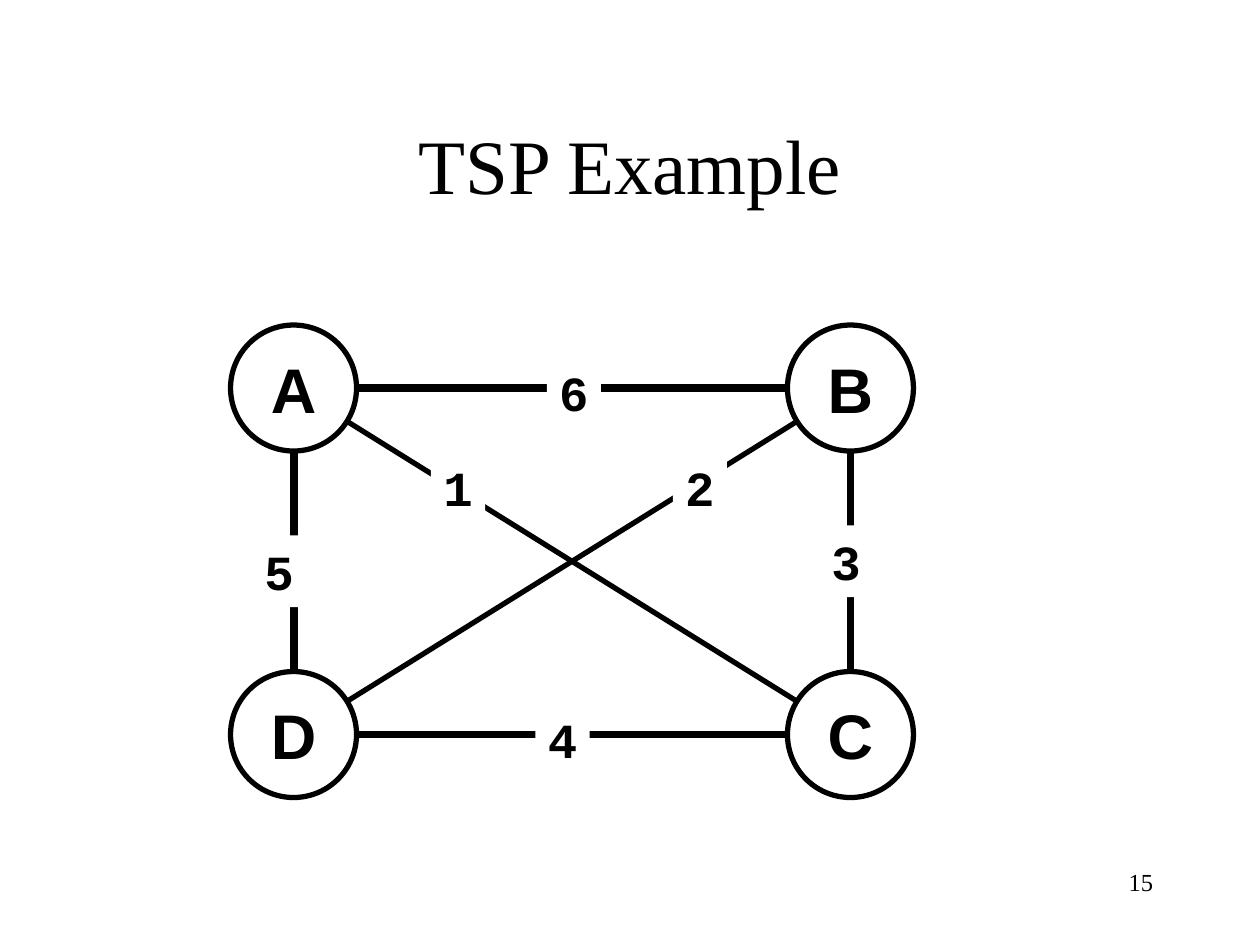
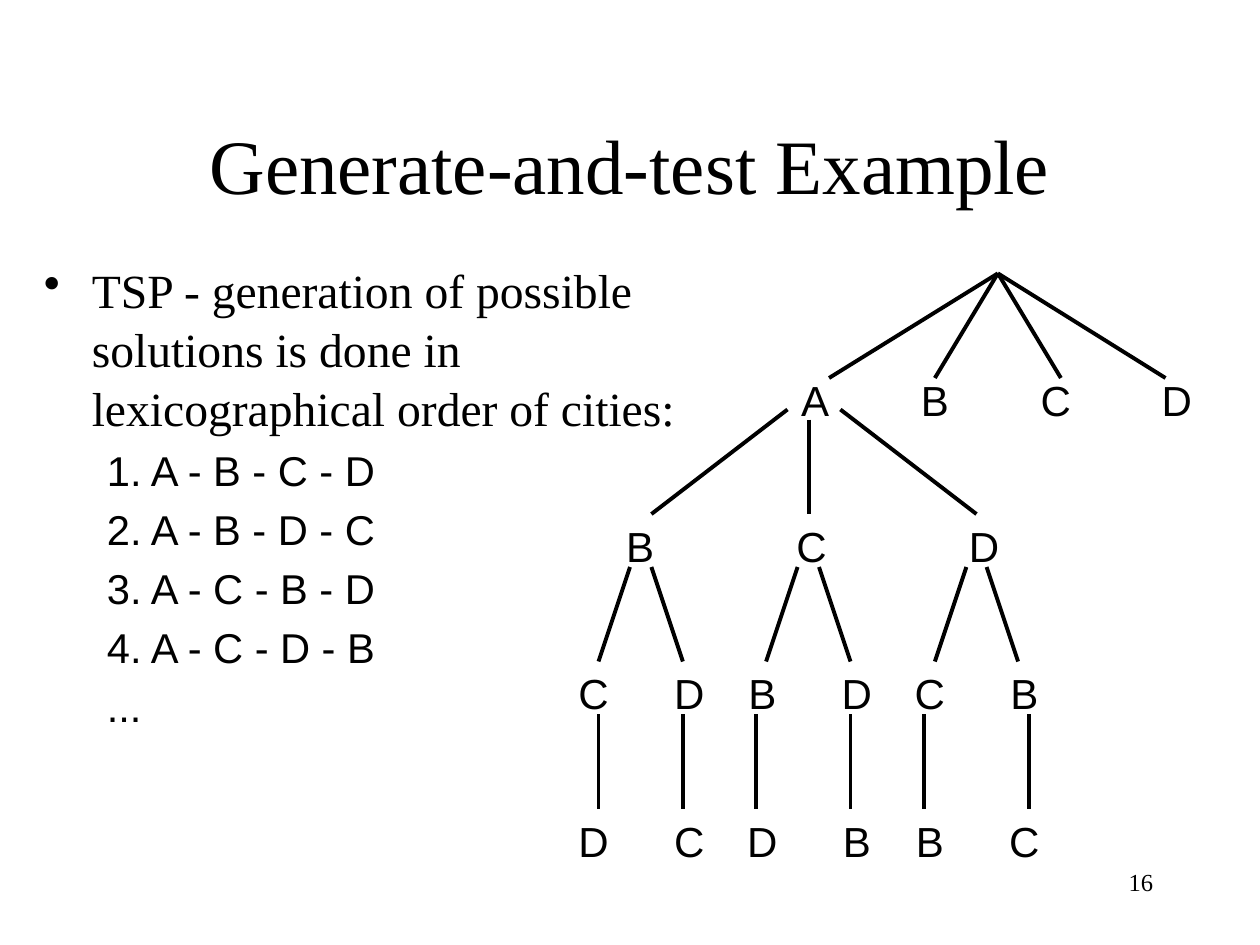
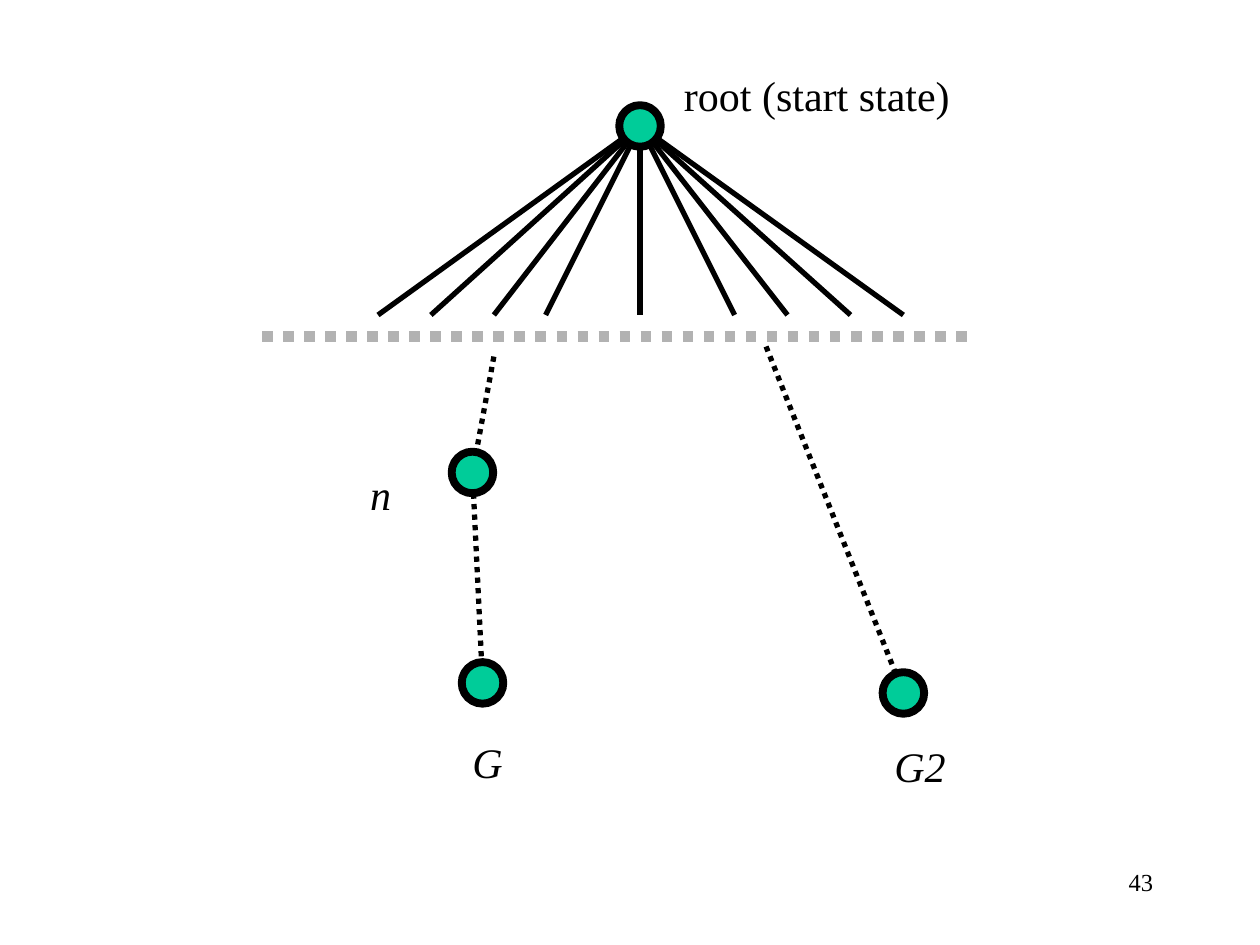
from lxml import etree
from pptx import Presentation
from pptx.dml.color import RGBColor
from pptx.enum import dml, shapes, text
from pptx.oxml import ns
from pptx.util import Inches, Pt

COLORS = {"ink": "000000", "paper": "FFFFFF", "state": "00CC99", "divider": "B2B2B2"}
SERIF, SANS, MONO = "Times New Roman", "Arial", "Courier New"
LEFT, CENTER, RIGHT = text.PP_ALIGN.LEFT, text.PP_ALIGN.CENTER, text.PP_ALIGN.RIGHT
DOTTED = dml.MSO_LINE.ROUND_DOT

# Map of cities: corner centres and edge costs (left, top)
CITY_SIZE = 1
CITY_LEFT, CITY_RIGHT, CITY_TOP, CITY_BOTTOM = 2.33, 6.75, 3.08, 5.83
CITIES = [("A", CITY_LEFT, CITY_TOP), ("B", CITY_RIGHT, CITY_TOP),
          ("C", CITY_RIGHT, CITY_BOTTOM), ("D", CITY_LEFT, CITY_BOTTOM)]
COSTS = [("4", 4.25, 5.58), ("6", 4.34, 2.83), ("3", 6.5, 4.17),
         ("5", 2, 4.25), ("1", 3.42, 3.58), ("2", 5.34, 3.58)]

# Tree of tours: letters with their centres, then branches as (x above, x below)
TOUR_INTRO = ("TSP - generation of possible solutions is done in "
              "lexicographical order of cities:")
TOURS = ["1. A - B - C - D", "2. A - B - D - C", "3. A - C - B - D",
         "4. A - C - D - B", "..."]
LEAF_CENTERS = [4.71, 5.47, 6.05, 6.8, 7.38, 8.13]
TREE_LEVELS = [
    (2.92, "ABCD", [6.47, 7.42, 8.38, 9.34]),
    (4.08, "BCD", [5.08, 6.44, 7.81]),
    (5.25, "CDBDCB", LEAF_CENTERS),
    (6.42, "DCDBBC", LEAF_CENTERS),
]
TREE_BRANCHES = [
    (2.17, 3, [(7.92, x) for x in (6.58, 7.42, 9.25, 8.42)]),
    (3.25, 4.08, [(6.25, 5.17), (6.67, 7.75)]),
    (3.33, 4.08, [(6.42, 6.42)]),
    (4.5, 5.25, [(5, 4.75), (5.17, 5.42), (6.33, 6.08),
                 (6.5, 6.75), (7.67, 7.42), (7.83, 8.08)]),
    (5.67, 6.42, [(x, x) for x in (4.75, 5.42, 6, 6.75, 7.33, 8.17)]),
]

# Search space: state centres, ends of the root's branches, dotted paths
STATE_SIZE = 0.33
ROOT, NODE_N, GOAL, GOAL_2 = (5.08, 1), (3.75, 3.75), (3.83, 5.42), (7.17, 5.5)
ROOT_BRANCH_ENDS = [3, 3.42, 3.92, 4.33, 5.08, 5.83, 6.25, 6.75, 7.17]
PATHS = [((6.08, 2.75), GOAL_2), (NODE_N, GOAL), ((3.92, 2.83), NODE_N)]
STATE_LABELS = [("G", 3.65, 5.8, 0.44, True), ("G2", 7, 5.83, 0.61, True),
                ("n", 2.84, 3.67, 0.36, True),
                ("root (start state)", 5.33, 0.5, 2.31, False)]


def rgb(name):
    return RGBColor.from_string(COLORS[name])


def style_run(paragraph, words, size, font, bold=False, italic=False):
    run = paragraph.add_run()
    run.text = words
    run.font.size, run.font.name = Pt(size), font
    run.font.bold, run.font.italic = bold, italic
    run.font.color.rgb = rgb("ink")


def write(shape, words, size=24, font=SERIF, align=LEFT, middle=False, wrap=False,
          **style):
    frame = shape.text_frame
    frame.word_wrap = wrap
    frame.vertical_anchor = text.MSO_ANCHOR.MIDDLE if middle else text.MSO_ANCHOR.TOP
    paragraph = frame.paragraphs[0]
    paragraph.alignment = align
    style_run(paragraph, words, size, font, **style)


def add_text(slide, words, left, top, width, height, **style):
    box = slide.shapes.add_textbox(*map(Inches, (left, top, width, height)))
    write(box, words, **style)
    return box


def add_line(slide, start, end, weight, color="ink", dash=None):
    line = slide.shapes.add_connector(shapes.MSO_CONNECTOR.STRAIGHT,
                                      *map(Inches, (*start, *end)))
    line.line.color.rgb = rgb(color)
    line.line.width = Pt(weight)
    if dash:
        line.line.dash_style = dash
    etree.SubElement(line._element.spPr, ns.qn("a:effectLst"))


def add_outlined(slide, kind, left, top, width, height, weight, fill=None):
    shape = slide.shapes.add_shape(kind, *map(Inches, (left, top, width, height)))
    shape.shadow.inherit = False
    if fill:
        shape.fill.solid()
        shape.fill.fore_color.rgb = rgb(fill)
    else:
        shape.fill.background()
    shape.line.color.rgb = rgb("ink")
    shape.line.width = Pt(weight)
    return shape


def add_circle(slide, center, size, weight, fill):
    x, y = center
    return add_outlined(slide, shapes.MSO_SHAPE.OVAL, x - size / 2, y - size / 2,
                        size, size, weight, fill)


def add_page(presentation, number, title=None):
    slide = presentation.slides.add_slide(presentation.slide_layouts[6])
    if title:
        add_text(slide, title, 0.75, 0.67, 8.5, 1.25, size=44, align=CENTER,
                 middle=True, wrap=True)
    add_text(slide, str(number), 7.17, 6.83, 2.08, 0.5, size=14, align=RIGHT, wrap=True)
    return slide


def indent(paragraph, margin, first_line, bullet=None):
    properties = paragraph._p.get_or_add_pPr()
    properties.set("marL", str(Inches(margin)))
    properties.set("indent", str(Inches(first_line)))
    if bullet:
        etree.SubElement(properties, ns.qn("a:buChar"), char=bullet)


def build_city_map(presentation):
    slide = add_page(presentation, 15, "TSP Example")
    add_line(slide, CITIES[0][1:], CITIES[2][1:], 3)
    add_line(slide, CITIES[1][1:], CITIES[3][1:], 3)
    add_outlined(slide, shapes.MSO_SHAPE.RECTANGLE, CITY_LEFT, CITY_TOP,
                 CITY_RIGHT - CITY_LEFT, CITY_BOTTOM - CITY_TOP, 4.5)
    for name, x, y in CITIES:
        city = add_circle(slide, (x, y), CITY_SIZE, 3, "paper")
        write(city, name, size=36, font=SANS, align=CENTER, middle=True, bold=True)
    for cost, left, top in COSTS:
        box = add_text(slide, cost, left, top, 0.43, 0.57, size=28, font=MONO, bold=True)
        box.fill.solid()
        box.fill.fore_color.rgb = rgb("paper")


def build_tour_tree(presentation):
    slide = add_page(presentation, 16, "Generate-and-test Example")
    body = add_text(slide, TOUR_INTRO, 0.25, 2, 5.25, 4.5, size=27.2, wrap=True)
    intro = body.text_frame.paragraphs[0]
    intro.line_spacing = 1.04
    indent(intro, 0.38, -0.38, "•")
    for tour in TOURS:
        paragraph = body.text_frame.add_paragraph()
        paragraph.line_spacing, paragraph.space_before = 0.9, Pt(8)
        indent(paragraph, 0.81, -0.31)
        style_run(paragraph, tour, 23.8, SANS)
    width = 0.44
    for top, letters, centers in TREE_LEVELS:
        for letter, center in zip(letters, centers):
            add_text(slide, letter, center - width / 2, top, width, 0.5,
                     font=SANS, align=CENTER)
    for top, bottom, branches in TREE_BRANCHES:
        for upper, lower in branches:
            add_line(slide, (upper, top), (lower, bottom), 2.25)


def build_search_space(presentation):
    slide = add_page(presentation, 43)
    for start, end in PATHS:
        add_line(slide, start, end, 3, dash=DOTTED)
    for x in ROOT_BRANCH_ENDS:
        add_line(slide, ROOT, (x, 2.5), 3)
    add_line(slide, (2.08, 2.67), (7.75, 2.67), 6, "divider", DOTTED)
    for center in (ROOT, NODE_N, GOAL, GOAL_2):
        add_circle(slide, center, STATE_SIZE, 4.5, "state")
    for words, left, top, width, italic in STATE_LABELS:
        add_text(slide, words, left, top, width, 0.5, italic=italic)


def main():
    presentation = Presentation()
    presentation.slide_width, presentation.slide_height = Inches(10), Inches(7.5)
    build_city_map(presentation)
    build_tour_tree(presentation)
    build_search_space(presentation)
    presentation.save("out.pptx")


if __name__ == "__main__":
    main()
